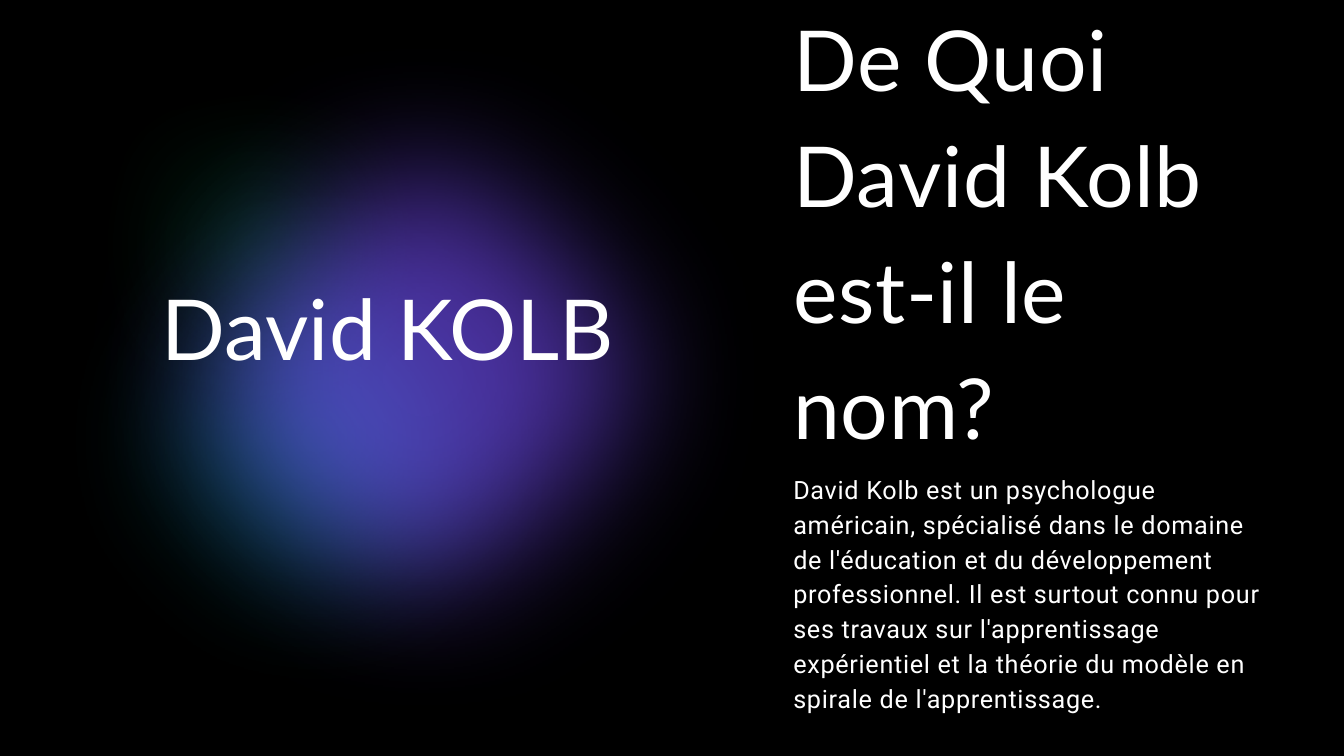
from dataclasses import dataclass

from lxml.etree import SubElement
from pptx import Presentation
from pptx.dml.color import RGBColor
from pptx.enum.shapes import MSO_SHAPE
from pptx.enum.text import MSO_ANCHOR, MSO_AUTO_SIZE, PP_ALIGN
from pptx.oxml.ns import qn
from pptx.shapes.autoshape import Shape
from pptx.slide import Slide
from pptx.text.text import TextFrame
from pptx.util import Inches, Pt

COLORS = {
    "black": "000000",
    "white": "FFFFFF",
    "teal": "00BAC8",
    "green": "00D17D",
    "purple": "794DFF",
}
SOFT_EDGE = Pt(100)


@dataclass
class Glow:
    left: float
    top: float
    size: float
    color: str
    opacity: int


@dataclass
class Para:
    text: str
    font: str
    size: int
    line: float
    before: int = 0
    tracking: float = 0
    align: PP_ALIGN = PP_ALIGN.LEFT


GLOWS = [
    Glow(0, 1.2, 6.3, "teal", 40),
    Glow(0.2, 0.07, 4.72, "green", 60),
    Glow(0.45, 0, 7.5, "purple", 60),
]
TITLE = [Para("David KOLB", "Lato", 60, 0.9, align=PP_ALIGN.CENTER)]
BODY = [
    Para("De Quoi David Kolb est-il le nom?", "Lato", 60, 1.15, 10, 0.5),
    Para(
        "David Kolb est un psychologue américain, spécialisé dans le domaine "
        "de l'éducation et du développement professionnel. Il est surtout connu "
        "pour ses travaux sur l'apprentissage expérientiel et la théorie du "
        "modèle en spirale de l'apprentissage.",
        "Roboto", 18, 1.15, 10, 0.5,
    ),
]


def rgb(name: str) -> RGBColor:
    return RGBColor.from_string(COLORS[name])


def add_glow(slide: Slide, glow: Glow) -> None:
    """Draw a translucent circle that fades out at its edge."""
    side = Inches(glow.size)
    shape = slide.shapes.add_shape(
        MSO_SHAPE.OVAL, Inches(glow.left), Inches(glow.top), side, side
    )
    shape.line.fill.background()
    shape.fill.solid()
    shape.fill.fore_color.rgb = rgb(glow.color)
    props = shape._element.spPr
    color = props.find(qn("a:solidFill")).find(qn("a:srgbClr"))
    SubElement(color, qn("a:alpha"), val=str(glow.opacity * 1000))
    shape.shadow.inherit = False
    effects = props.find(qn("a:effectLst"))
    SubElement(effects, qn("a:softEdge"), rad=str(int(SOFT_EDGE)))


def place(shape: Shape, left: float, top: float, width: float, height: float) -> None:
    shape.left, shape.top = Inches(left), Inches(top)
    shape.width, shape.height = Inches(width), Inches(height)


def write(frame: TextFrame, paras: list[Para], bottom: float) -> None:
    """Fill a centred frame; the bottom margin lifts the text."""
    frame.word_wrap = True
    frame.auto_size = MSO_AUTO_SIZE.NONE
    frame.vertical_anchor = MSO_ANCHOR.MIDDLE
    frame.margin_bottom = Inches(bottom)
    for index, para in enumerate(paras):
        line = frame.add_paragraph() if index else frame.paragraphs[0]
        line.alignment = para.align
        line.line_spacing = para.line
        line.space_before = Pt(para.before)
        run = line.add_run()
        run.text = para.text
        run.font.name = para.font
        run.font.size = Pt(para.size)
        run.font.color.rgb = rgb("white")
        if para.tracking:
            run.font._element.set("spc", str(int(para.tracking * 100)))


def main() -> None:
    deck = Presentation()
    deck.slide_width, deck.slide_height = Inches(13.33), Inches(7.5)
    slide = deck.slides.add_slide(deck.slide_layouts[5])
    back = slide.background.fill
    back.solid()
    back.fore_color.rgb = rgb("black")

    for glow in GLOWS:
        add_glow(slide, glow)

    title = slide.shapes.title
    place(title, 1.01, 0.91, 5.68, 5.69)
    write(title.text_frame, TITLE, 0.95)
    # Bring the title in front of the glows.
    slide.shapes._spTree.append(title._element)

    body = slide.shapes.add_textbox(0, 0, 0, 0)
    place(body, 7.77, 0.59, 4.96, 6.3)
    write(body.text_frame, BODY, 0.53)

    deck.save("out.pptx")


if __name__ == "__main__":
    main()
